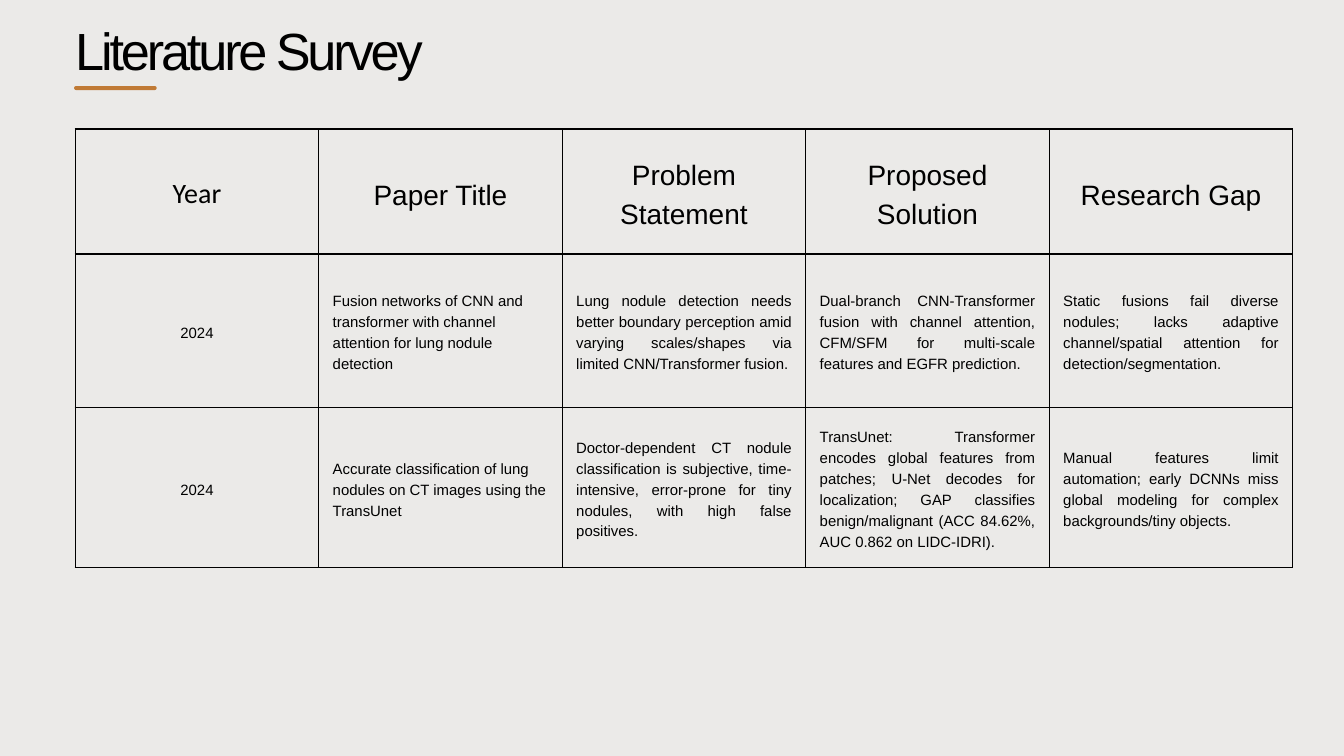
from dataclasses import dataclass

from lxml import etree
from pptx import Presentation
from pptx.dml.color import RGBColor
from pptx.enum.shapes import MSO_SHAPE as SHAPE
from pptx.enum.text import MSO_ANCHOR as ANCHOR, MSO_AUTO_SIZE as AUTOSIZE, PP_ALIGN as ALIGN
from pptx.oxml.ns import qn
from pptx.util import Pt


@dataclass(frozen=True)
class Theme:
    background: RGBColor = RGBColor(0xEB, 0xEA, 0xE8)
    accent: RGBColor = RGBColor(0xC0, 0x7A, 0x35)
    ink: RGBColor = RGBColor(0, 0, 0)
    font: str = "Arial"
    year_font: str = "Calibri"
    title_size: float = 56
    title_tracking: float = -3.4
    header_size: float = 30
    body_size: float = 16
    leading: float = 1.4
    border: float = 1.5
    cell_margin: float = 15


THEME = Theme()
TITLE_BOX = (80.6, 31, 440, 52.6)
TABLE_BOX = (80.6, 138.2, 1304.6, 470.2)
ROW_HEIGHTS = (134, 164.8, 171.4)

HEADERS = ("Year", "Paper Title", "Problem Statement", "Proposed Solution", "Research Gap")
PAPERS = (
    ("2024",
     "Fusion networks of CNN and transformer with channel attention for lung nodule detection",
     "Lung nodule detection needs better boundary perception amid varying scales/shapes via "
     "limited CNN/Transformer fusion.",
     "Dual-branch CNN-Transformer fusion with channel attention, CFM/SFM for multi-scale "
     "features and EGFR prediction.",
     "Static fusions fail diverse nodules; lacks adaptive channel/spatial attention for "
     "detection/segmentation."),
    ("2024",
     "Accurate classification of lung nodules on CT images using the TransUnet",
     "Doctor-dependent CT nodule classification is subjective, time-intensive, error-prone for "
     "tiny nodules, with high false positives.",
     "TransUnet: Transformer encodes global features from patches; U-Net decodes for "
     "localization; GAP classifies benign/malignant (ACC 84.62%, AUC 0.862 on LIDC-IDRI).",
     "Manual features limit automation; early DCNNs miss global modeling for complex "
     "backgrounds/tiny objects."),
)
BODY_ALIGNS = (ALIGN.CENTER, ALIGN.LEFT, ALIGN.JUSTIFY, ALIGN.JUSTIFY, ALIGN.JUSTIFY)


def set_attrs(obj, **values):
    for name, value in values.items():
        setattr(obj, name, value)


def write(tf, text, size, align, leading, font=THEME.font):
    """Fill a text frame with one formatted paragraph and return its run."""
    p = tf.paragraphs[0]
    set_attrs(p, alignment=align, line_spacing=Pt(leading), space_before=Pt(0))
    r = p.add_run()
    r.text = text
    set_attrs(r.font, name=font, size=Pt(size), bold=False)
    r.font.color.rgb = THEME.ink
    return r


def add_heading(slide, box):
    left, top, width, height = box
    title = slide.shapes.title
    set_attrs(title, left=Pt(left), top=Pt(top), width=Pt(width), height=Pt(height))
    tf = title.text_frame
    set_attrs(tf, margin_left=0, margin_top=0, margin_right=0, margin_bottom=0,
              vertical_anchor=ANCHOR.TOP, auto_size=AUTOSIZE.NONE, word_wrap=True)
    r = write(tf, "Literature Survey", THEME.title_size, ALIGN.LEFT, THEME.title_size)
    r.font._element.set("spc", str(round(THEME.title_tracking * 100)))

    rule = slide.shapes.add_shape(SHAPE.ROUNDED_RECTANGLE, Pt(left - 1.2), Pt(top + 61.2),
                                  Pt(88.5), Pt(4.3))
    rule.adjustments[0] = 0.5
    rule.shadow.inherit = False
    rule.fill.solid()
    rule.fill.fore_color.rgb = THEME.accent
    rule.line.fill.background()


def add_borders(cell):
    tc_pr = cell._tc.get_or_add_tcPr()
    for i, side in enumerate(("lnL", "lnR", "lnT", "lnB")):
        ln = etree.Element(qn(f"a:{side}"), w=str(Pt(THEME.border)))
        fill = etree.SubElement(ln, qn("a:solidFill"))
        etree.SubElement(fill, qn("a:srgbClr"), val=str(THEME.ink))
        tc_pr.insert(i, ln)


def add_survey_table(slide, box):
    rows = (HEADERS, *PAPERS)
    frame = slide.shapes.add_table(len(rows), len(HEADERS), *(Pt(v) for v in box))
    table = frame.table
    set_attrs(table, first_row=False, horz_banding=False)
    for col in table.columns:
        col.width = Pt(box[2] / len(HEADERS))
    margin = Pt(THEME.cell_margin)
    for i, (row, height) in enumerate(zip(rows, ROW_HEIGHTS)):
        table.rows[i].height = Pt(height)
        size = THEME.body_size if i else THEME.header_size
        for j, text in enumerate(row):
            cell = table.cell(i, j)
            set_attrs(cell, margin_left=margin, margin_right=margin, margin_top=margin,
                      margin_bottom=margin, vertical_anchor=ANCHOR.MIDDLE)
            cell.fill.background()
            add_borders(cell)
            write(cell.text_frame, text, size, BODY_ALIGNS[j] if i else ALIGN.CENTER,
                  size * THEME.leading, THEME.year_font if text == "Year" else THEME.font)


def main():
    prs = Presentation()
    set_attrs(prs, slide_width=Pt(1440), slide_height=Pt(810))
    slide = prs.slides.add_slide(prs.slide_layouts[5])
    slide.background.fill.solid()
    slide.background.fill.fore_color.rgb = THEME.background
    add_heading(slide, TITLE_BOX)
    add_survey_table(slide, TABLE_BOX)
    prs.save("out.pptx")


if __name__ == "__main__":
    main()
